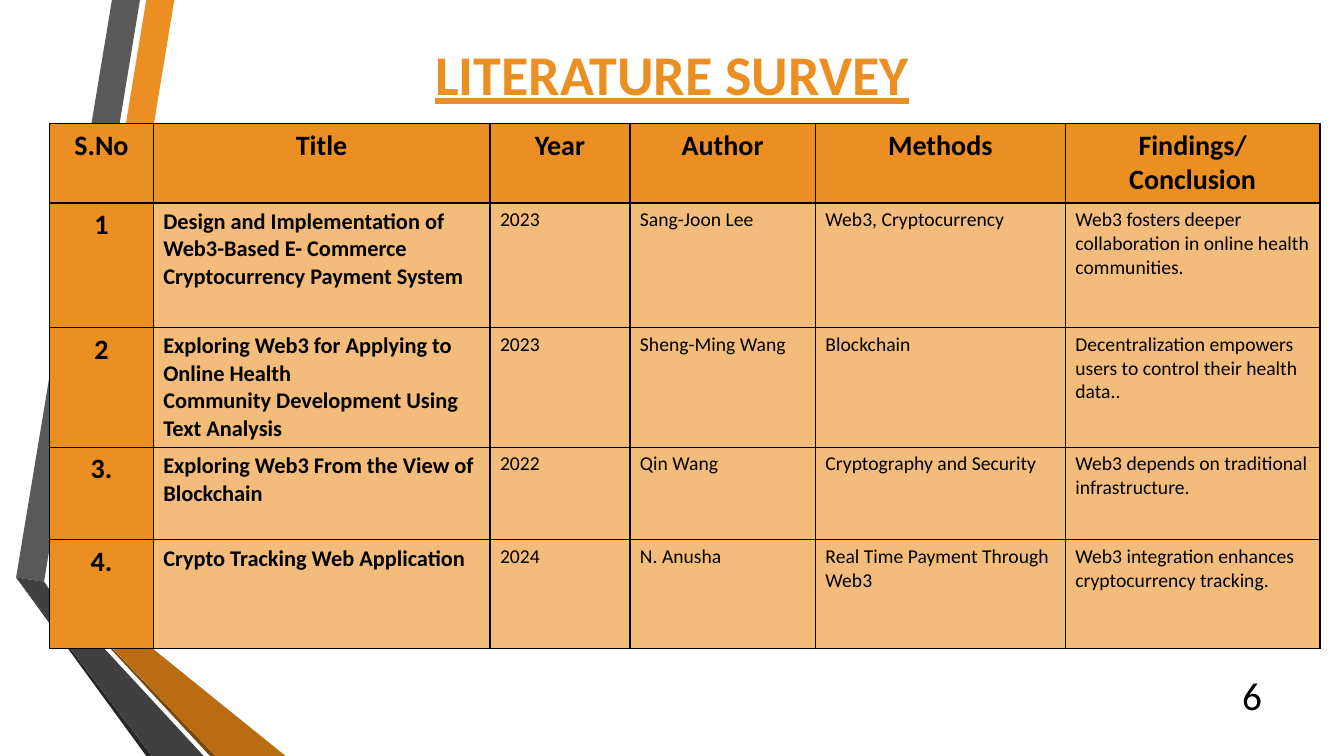
import pptx
import pptx.util
import pptx.dml.color
import pptx.enum.text
import pptx.oxml
import pptx.oxml.ns

Pt = pptx.util.Pt
ALIGN = pptx.enum.text.PP_ALIGN
ANCHOR = pptx.enum.text.MSO_ANCHOR
FONT = "Calibri"
COLORS = {
    "orange": "EB8F22", "pale": "F3BC7A", "amber": "B96C11", "brown": "7B480B",
    "grey": "595959", "charcoal": "404040", "soot": "262626", "black": "000000",
}

# Ribbon outlines in points, back to front
RIBBONS = [
    ("orange", [(36, 416), (55.5, 420), (124.5, 0), (104.5, 0)]),
    ("grey", [(100, 0), (80, 0), (11.5, 412.5), (31.5, 415.5)]),
    ("soot", [(11.5, 412.5), (104.5, 540), (108.5, 540)]),
    ("brown", [(36, 417), (150, 540), (154, 540)]),
    ("amber", [(36, 416.5), (154, 540), (204, 540), (55.5, 420)]),
    ("charcoal", [(145.5, 540), (34.5, 420), (31.5, 415.5), (11.5, 412.5), (108.5, 540)]),
]

COLUMN_WIDTHS = [74, 240.5, 100, 132.5, 178.5, 182]
ROW_HEIGHTS = [56.5, 89, 85.5, 66, 78]
SURVEY = [
    ["S.No", "Title", "Year", "Author", "Methods", "Findings/Conclusion"],
    ["1", "Design and Implementation of Web3-Based E- Commerce Cryptocurrency Payment System",
     "2023", "Sang-Joon Lee", "Web3, Cryptocurrency",
     "Web3 fosters deeper collaboration in online health communities."],
    ["2", "Exploring Web3 for Applying to Online Health\nCommunity Development Using Text Analysis",
     "2023", "Sheng-Ming Wang", "Blockchain",
     "Decentralization empowers users to control their health data.."],
    ["3.", "Exploring Web3 From the View of Blockchain",
     "2022", "Qin Wang", "Cryptography and Security",
     "Web3 depends on traditional infrastructure."],
    ["4.", "Crypto Tracking Web Application",
     "2024", "N. Anusha", "Real Time Payment Through Web3",
     "Web3 integration enhances cryptocurrency tracking."],
]


def color(name):
    return pptx.dml.color.RGBColor.from_string(COLORS[name])


def write(frame, text, size, align, bold=False, underline=False, ink="black"):
    frame.text = text
    frame.word_wrap = True
    for para in frame.paragraphs:
        para.alignment = align
        for span in para.runs:
            span.font.name = FONT
            span.font.size = Pt(size)
            span.font.bold = bold
            span.font.underline = underline
            span.font.color.rgb = color(ink)


def place(shape, box):
    shape.left, shape.top, shape.width, shape.height = (Pt(length) for length in box)


def add_ribbons(page, left, top):
    for name, outline in RIBBONS:
        points = [(Pt(left + x), Pt(top + y)) for x, y in outline]
        builder = page.shapes.build_freeform(*points[0])
        builder.add_line_segments(points[1:], close=True)
        ribbon = builder.convert_to_shape()
        ribbon.shadow.inherit = False
        ribbon.fill.solid()
        ribbon.fill.fore_color.rgb = color(name)
        ribbon.line.fill.background()


def add_title(page, box):
    title = page.shapes.title
    place(title, box)
    write(title.text_frame, "LITERATURE SURVEY", 40, ALIGN.CENTER, True, True, "orange")
    title.text_frame.vertical_anchor = ANCHOR.MIDDLE


def add_borders(cell):
    properties = cell._tc.get_or_add_tcPr()
    for side in ("lnL", "lnR", "lnT", "lnB"):
        properties.append(pptx.oxml.parse_xml(
            f'<a:{side} {pptx.oxml.ns.nsdecls("a")} w="{Pt(1)}"><a:solidFill>'
            f'<a:srgbClr val="{COLORS["black"]}"/></a:solidFill></a:{side}>'))


def add_survey_table(page, left, top):
    frame = page.shapes.add_table(
        len(SURVEY), len(COLUMN_WIDTHS), Pt(left), Pt(top),
        Pt(sum(COLUMN_WIDTHS)), Pt(sum(ROW_HEIGHTS)))
    table = frame.table
    for column, width in zip(table.columns, COLUMN_WIDTHS):
        column.width = Pt(width)
    for row, height in zip(table.rows, ROW_HEIGHTS):
        row.height = Pt(height)
    for i, texts in enumerate(SURVEY):
        for j, text in enumerate(texts):
            cell = table.cell(i, j)
            heading = i == 0 or j == 0
            size = 20 if heading else 16 if j == 1 else 14
            align = ALIGN.CENTER if heading else ALIGN.LEFT
            write(cell.text_frame, text, size, align, bold=heading or j == 1)
            add_borders(cell)
            cell.fill.solid()
            cell.fill.fore_color.rgb = color("orange" if heading else "pale")


def add_page_number(page, box):
    number = page.shapes.add_textbox(*(Pt(length) for length in box))
    write(number.text_frame, "6", 28, ALIGN.RIGHT)
    number.text_frame.vertical_anchor = ANCHOR.MIDDLE


def main():
    deck = pptx.Presentation()
    deck.slide_width, deck.slide_height = Pt(960), Pt(540)
    page = deck.slides.add_slide(deck.slide_layouts[5])
    add_ribbons(page, 0, 0)
    add_title(page, (66, 0, 828, 104.5))
    add_survey_table(page, 35.5, 88.5)
    add_page_number(page, (865.5, 481.5, 43, 29))
    deck.save("out.pptx")


if __name__ == "__main__":
    main()
